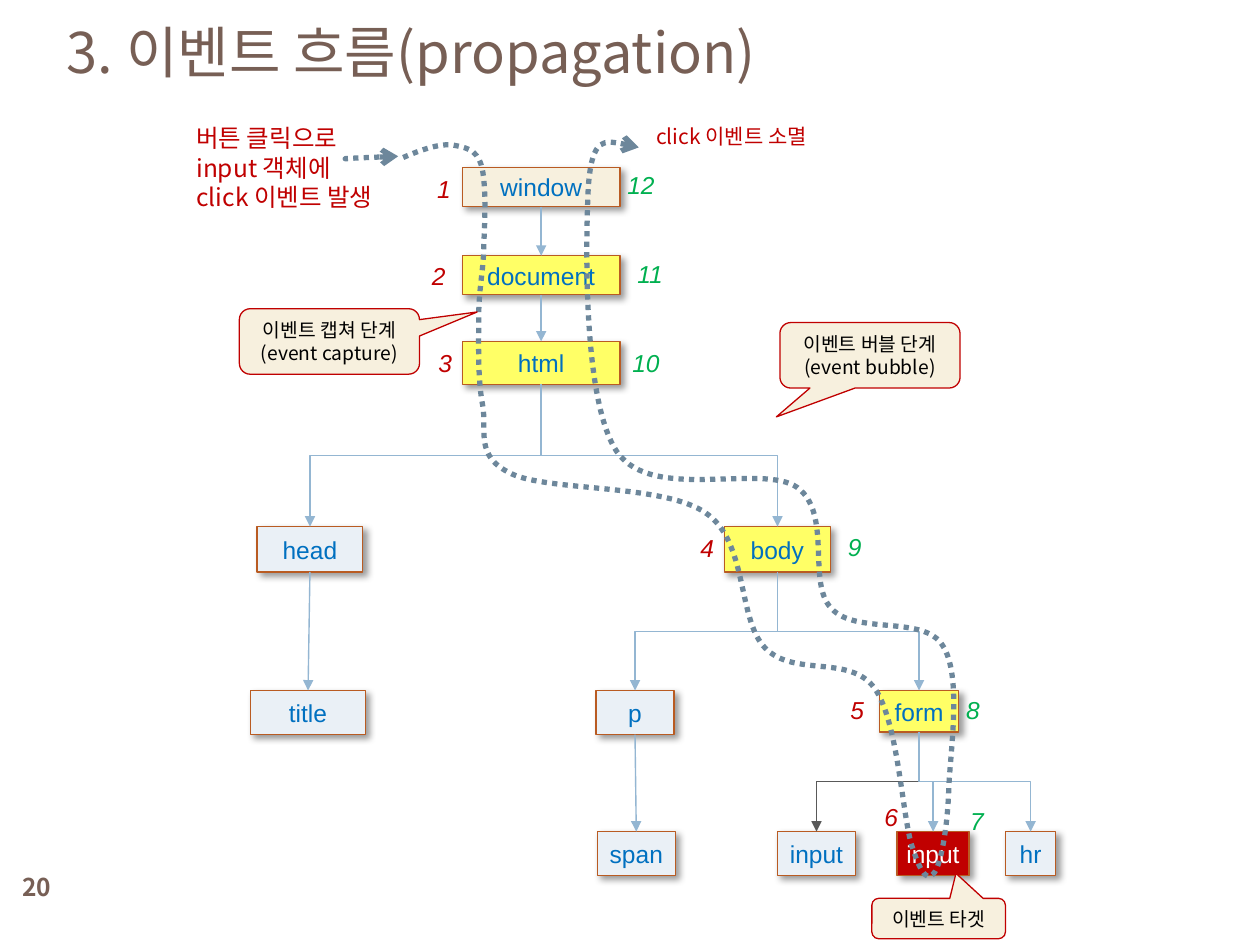
"""Build the slide on event propagation through a DOM tree."""
from dataclasses import dataclass
from typing import NamedTuple

from lxml.etree import SubElement
from pptx import Presentation
from pptx.dml.color import RGBColor
from pptx.enum.dml import MSO_LINE
from pptx.enum.shapes import MSO_CONNECTOR, MSO_SHAPE
from pptx.enum.text import MSO_ANCHOR, MSO_AUTO_SIZE, PP_ALIGN
from pptx.oxml.ns import qn
from pptx.util import Pt

PX = 9144


@dataclass(frozen=True)
class Theme:
    """Colours, fonts and type sizes of the slide."""

    title: str = "775F55"
    cream: str = "F7F0DE"
    yellow: str = "FFFF66"
    pale: str = "EAF0F6"
    red: str = "C00000"
    green: str = "00B050"
    blue: str = "0070C0"
    white: str = "FFFFFF"
    black: str = "000000"
    border: str = "B95B22"
    branch: str = "94B6D2"
    dark_branch: str = "595959"
    flow: str = "6D879B"
    latin: str = "Arial"
    korean: str = "Noto Sans CJK KR"
    title_size: int = 32
    body_size: int = 14
    note_size: int = 12
    callout_size: int = 11


THEME = Theme()


class Node(NamedTuple):
    label: str
    left: int
    top: int
    width: int
    height: int
    fill: str = THEME.pale
    color: str = THEME.blue


class Branch(NamedTuple):
    parent: str
    child: str
    color: str = THEME.branch


class Step(NamedTuple):
    number: int
    left: int
    top: int


class Callout(NamedTuple):
    text: str
    left: int
    top: int
    width: int
    height: int
    tip: tuple[float, float]


NODES = {
    "window": Node("window", 367, 133, 125, 31, THEME.cream),
    "document": Node("document", 367, 203, 125, 31, THEME.yellow),
    "html": Node("html", 367, 271, 125, 34, THEME.yellow),
    "head": Node("head", 204, 418, 84, 36),
    "body": Node("body", 575, 418, 84, 36, THEME.yellow),
    "title": Node("title", 199, 548, 91, 35),
    "p": Node("p", 473, 548, 62, 35),
    "form": Node("form", 698, 548, 63, 33, THEME.yellow),
    "span": Node("span", 474, 660, 62, 35),
    "input": Node("input", 617, 660, 62, 35),
    "target": Node("input", 712, 660, 57, 35, THEME.red, THEME.white),
    "hr": Node("hr", 798, 660, 40, 35),
}
BRANCHES = [
    Branch("window", "document"), Branch("document", "html"),
    Branch("html", "head"), Branch("html", "body"), Branch("head", "title"),
    Branch("body", "p"), Branch("body", "form"), Branch("p", "span"),
    Branch("form", "input", THEME.dark_branch), Branch("form", "target"), Branch("form", "hr"),
]
STEPS = [
    Step(1, 337, 133), Step(2, 333, 202), Step(3, 338, 271), Step(4, 546, 418),
    Step(5, 665, 547), Step(6, 692, 632), Step(7, 760, 635), Step(8, 757, 547),
    Step(9, 663, 417), Step(10, 492, 271), Step(11, 496, 201), Step(12, 488, 130),
]
LAST_CAPTURE_STEP = 6
CALLOUTS = [
    Callout("이벤트 캡쳐 단계\n(event capture)", 190, 245, 143, 52, (0.82, -0.45)),
    Callout("이벤트 버블 단계\n(event bubble)", 619, 256, 143, 52, (-0.52, 0.94)),
    Callout("이벤트 타겟", 692, 713, 106, 32, (0.13, -1.12)),
]
PROPAGATION = [
    (320, 125), (334, 119), (348, 114), (359, 115), (369, 117), (378, 118), (382, 131),
    (386, 144), (385, 175), (384, 194), (384, 214), (380, 229), (380, 250),
    (380, 271), (379, 300), (383, 321), (387, 342), (376, 362), (406, 376),
    (435, 390), (527, 384), (560, 407), (594, 430), (585, 491), (607, 514),
    (630, 538), (674, 519), (694, 546), (713, 572), (716, 648), (724, 672),
    (732, 697), (737, 699), (742, 692), (747, 684), (752, 657), (753, 627),
    (754, 597), (764, 536), (748, 512), (733, 488), (679, 504), (660, 483),
    (640, 463), (661, 408), (633, 387), (605, 367), (518, 399), (490, 359),
    (462, 319), (465, 188), (467, 148), (470, 107), (489, 112), (507, 117),
]
CLICK = [(276, 126), (267, 126), (316, 124), (316, 124)]


def rgb(color: str) -> RGBColor:
    """Return the colour object of a hex value."""
    return RGBColor.from_string(color)


def write(shape, text: str, *, color: str, size: int, font: str = THEME.korean,
          align=PP_ALIGN.LEFT, anchor=MSO_ANCHOR.TOP, wrap: bool = False,
          bold: bool = False, italic: bool = False, side: int = 10) -> None:
    """Fill a shape with formatted text, one paragraph a line."""
    frame = shape.text_frame
    frame.text = text
    frame.auto_size = MSO_AUTO_SIZE.NONE
    frame.word_wrap = wrap
    frame.vertical_anchor = anchor
    frame.margin_left = frame.margin_right = side * PX
    frame.margin_top = frame.margin_bottom = 5 * PX
    for paragraph in frame.paragraphs:
        paragraph.alignment = align
        for run in paragraph.runs:
            run.font.size, run.font.bold, run.font.italic = Pt(size), bold, italic
            run.font.color.rgb = rgb(color)
            run.font.name = font
            SubElement(run.font._element, qn("a:ea"), typeface=font)


def add_text(slide, text: str, left: int, top: int, width: int, height: int, **style) -> None:
    """Add a text box."""
    write(slide.shapes.add_textbox(left * PX, top * PX, width * PX, height * PX), text, **style)


def add_box(slide, kind, box: Node | Callout, fill: str, border: str):
    """Add a filled and outlined preset shape."""
    shape = slide.shapes.add_shape(
        kind, box.left * PX, box.top * PX, box.width * PX, box.height * PX)
    shape.shadow.inherit = False
    shape.fill.solid()
    shape.fill.fore_color.rgb = rgb(fill)
    shape.line.color.rgb = rgb(border)
    shape.line.width = Pt(0.75)
    return shape


def add_node(slide, node: Node) -> None:
    """Add a DOM node with its drop shadow."""
    shape = add_box(slide, MSO_SHAPE.RECTANGLE, node, node.fill, THEME.border)
    effects = shape._element.spPr.find(qn("a:effectLst"))
    shadow = SubElement(effects, qn("a:outerShdw"), blurRad=str(Pt(4)), dist=str(Pt(3)),
                        dir="2700000", algn="tl", rotWithShape="0")
    tint = SubElement(shadow, qn("a:srgbClr"), val=THEME.black)
    SubElement(tint, qn("a:alpha"), val="40000")
    write(shape, node.label, color=node.color, size=THEME.body_size, font=THEME.latin,
          align=PP_ALIGN.CENTER, anchor=MSO_ANCHOR.MIDDLE, side=4)


def add_callout(slide, callout: Callout) -> None:
    """Add a speech bubble that points at its tip."""
    shape = add_box(slide, MSO_SHAPE.ROUNDED_RECTANGULAR_CALLOUT, callout, THEME.cream, THEME.red)
    shape.adjustments[0], shape.adjustments[1] = callout.tip
    write(shape, callout.text, color=THEME.black, size=THEME.callout_size,
          align=PP_ALIGN.CENTER, anchor=MSO_ANCHOR.MIDDLE)


def style_arrow(arrow, color: str, width: float, head: str) -> None:
    """Format a line and put an arrowhead at its end."""
    arrow.line.color.rgb = rgb(color)
    arrow.line.width = Pt(width)
    SubElement(arrow.line._get_or_add_ln(), qn("a:tailEnd"), type=head)


def add_branch(slide, branch: Branch) -> None:
    """Join a parent to a child, with a vertical-first elbow between columns."""
    parent, child = NODES[branch.parent], NODES[branch.child]
    x1, y1 = (2 * parent.left + parent.width) * PX // 2, (parent.top + parent.height) * PX
    x2, y2 = (2 * child.left + child.width) * PX // 2, child.top * PX
    if abs(x2 - x1) < 3 * PX:
        link = slide.shapes.add_connector(MSO_CONNECTOR.STRAIGHT, x1, y1, x2, y2)
    else:
        run, drop = abs(x2 - x1), y2 - y1
        left, top = (x1 + x2 - drop) // 2, (y1 + y2 - run) // 2
        link = slide.shapes.add_connector(
            MSO_CONNECTOR.ELBOW, left, top, left + drop, top + run)
        frame = link._element.spPr.find(qn("a:xfrm"))
        frame.set("rot", "5400000" if x2 < x1 else "16200000")
        frame.set("flipH", str(int(x2 > x1)))
    style_arrow(link, branch.color, 0.79, "triangle")
    SubElement(link._element.spPr, qn("a:effectLst"))


def add_flow(slide, points: list[tuple[int, int]]) -> None:
    """Draw a dotted arrow along cubic curves of three points each."""
    builder = slide.shapes.build_freeform(*points[0], scale=float(PX))
    builder.add_line_segments(points[1:], close=False)
    curve = builder.convert_to_shape()
    curve.shadow.inherit = False
    curve.fill.background()
    outline = next(curve._element.iter(qn("a:path")))
    segments = outline.findall(qn("a:lnTo"))
    for start in range(0, len(segments), 3):
        bezier = SubElement(outline, qn("a:cubicBezTo"))
        for segment in segments[start:start + 3]:
            bezier.append(segment[0])
            outline.remove(segment)
    curve.line.dash_style = MSO_LINE.ROUND_DOT
    style_arrow(curve, THEME.flow, 3, "arrow")


def main() -> None:
    """Build and save the presentation."""
    deck = Presentation()
    deck.slide_width, deck.slide_height = 1000 * PX, 750 * PX
    slide = deck.slides.add_slide(deck.slide_layouts[5])
    heading = slide.shapes.title
    heading.left, heading.top, heading.width, heading.height = (
        43 * PX, 9 * PX, 892 * PX, 74 * PX)
    write(heading, "3. 이벤트 흐름(propagation)", color=THEME.title,
          size=THEME.title_size, wrap=True)
    add_text(slide, "20", 0, 683, 58, 42, color=THEME.title, size=THEME.body_size, bold=True,
             align=PP_ALIGN.CENTER, anchor=MSO_ANCHOR.MIDDLE, wrap=True)
    for node in NODES.values():
        add_node(slide, node)
    for branch in BRANCHES:
        add_branch(slide, branch)
    for points in (PROPAGATION, CLICK):
        add_flow(slide, points)
    add_text(slide, "버튼 클릭으로\ninput 객체에\nclick 이벤트 발생", 146, 93, 170, 81,
             color=THEME.red, size=THEME.body_size)
    add_text(slide, "click 이벤트 소멸", 511, 93, 149, 30, color=THEME.red, size=THEME.note_size)
    for callout in CALLOUTS:
        add_callout(slide, callout)
    for step in STEPS:
        color = THEME.red if step.number <= LAST_CAPTURE_STEP else THEME.green
        add_text(slide, str(step.number), step.left, step.top, 31 if step.number < 10 else 42, 34,
                 color=color, size=THEME.body_size, font=THEME.latin, italic=True)
    deck.save("out.pptx")


if __name__ == "__main__":
    main()
